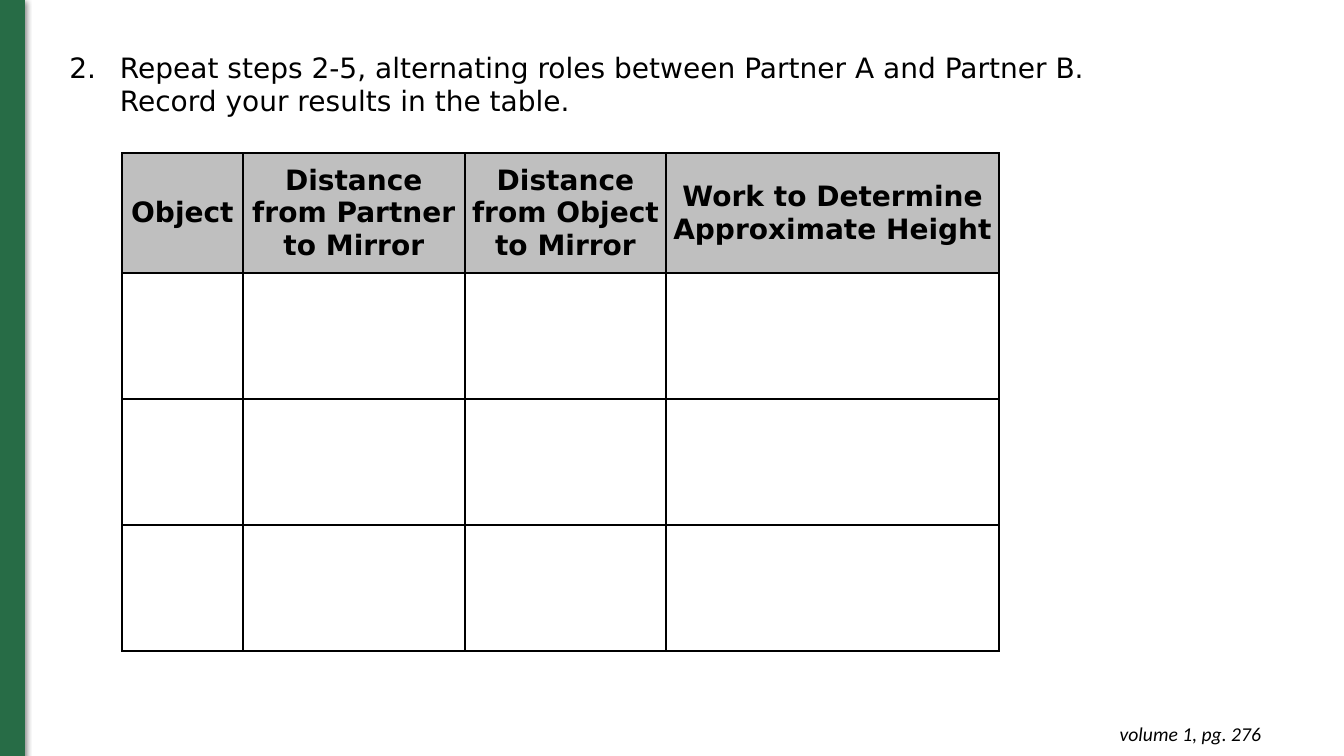
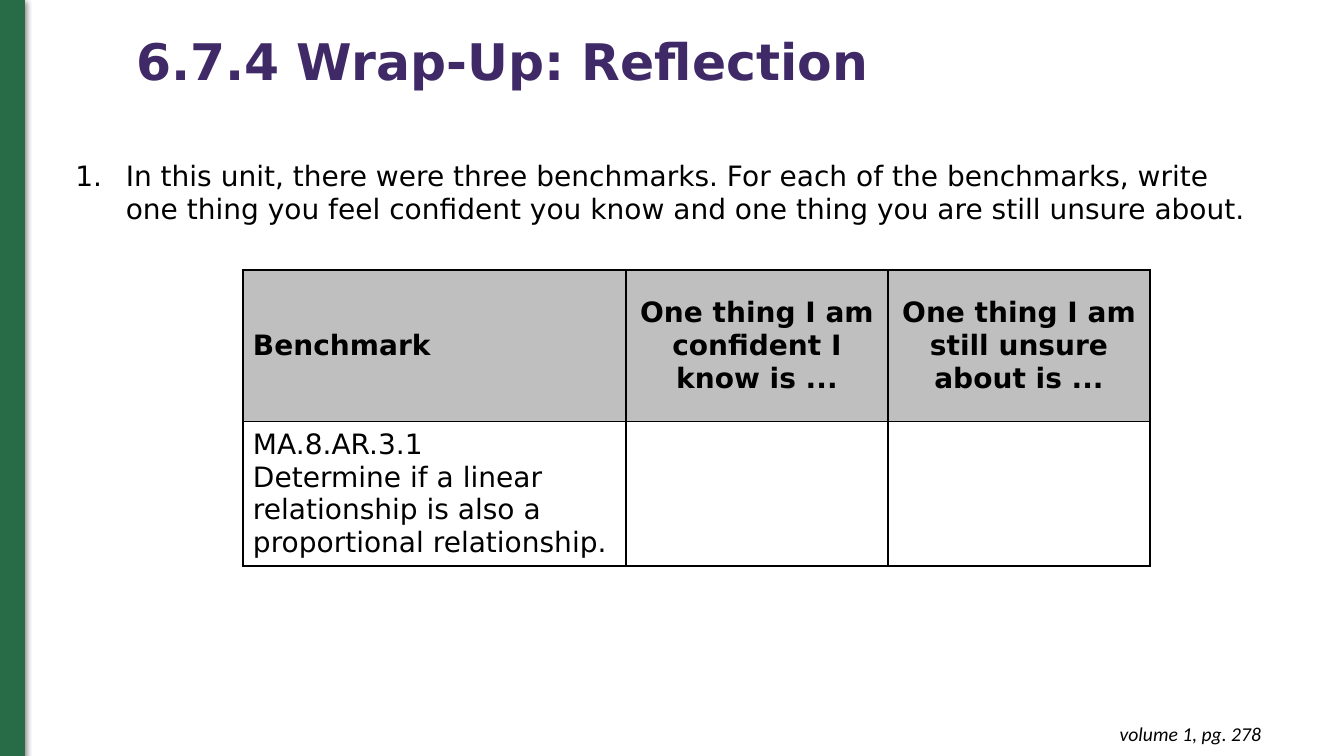
from lxml import etree
from pptx import Presentation
from pptx.dml.color import RGBColor
from pptx.enum import shapes, text
from pptx.oxml import parse_xml
from pptx.oxml.ns import qn
from pptx.util import Pt

A_NS = 'xmlns:a="http://schemas.openxmlformats.org/drawingml/2006/main"'
GREEN, PURPLE, GREY, BLACK = "276C46", "3F2A67", "BFBFBF", "000000"
LEFT, CENTER, RIGHT = text.PP_ALIGN.LEFT, text.PP_ALIGN.CENTER, text.PP_ALIGN.RIGHT
MIDDLE = text.MSO_ANCHOR.MIDDLE


def rgb(value):
    return RGBColor.from_string(value)


class Lesson:
    """Holds the lesson style and the slide being built."""

    font, body_size = "DejaVu Sans", 20

    def __init__(self):
        self.prs = Presentation()
        self.prs.slide_width, self.prs.slide_height = Pt(960), Pt(540)

    def new_slide(self, page, title=None):
        layout = self.prs.slide_layouts[5 if title else 6]
        self.s = self.prs.slides.add_slide(layout)
        self.side_band()
        self.footer(page)
        if title:
            self.title(title)

    def set_text(self, tf, content, size=body_size, color=BLACK, bold=False,
                 italic=False, font=font, align=LEFT):
        tf.text = content
        for p in tf.paragraphs:
            p.alignment = align
            for r in p.runs:
                r.font.name, r.font.size = font, Pt(size)
                r.font.bold, r.font.italic = bold, italic
                r.font.color.rgb = rgb(color)

    def text_box(self, x, y, w, h):
        tf = self.s.shapes.add_textbox(Pt(x), Pt(y), Pt(w), Pt(h)).text_frame
        tf.word_wrap = True
        tf.auto_size = text.MSO_AUTO_SIZE.SHAPE_TO_FIT_TEXT
        return tf

    def side_band(self):
        sp = self.s.shapes.add_shape(shapes.MSO_SHAPE.RECTANGLE, 0, 0, Pt(17.5), Pt(540.5))
        sp.fill.solid()
        sp.fill.fore_color.rgb = sp.line.color.rgb = rgb(GREEN)
        sp.line.width = Pt(0.75)
        sp.shadow.inherit = False
        effects = sp._element.spPr.find(qn("a:effectLst"))
        effects.append(parse_xml(
            f'<a:outerShdw {A_NS} blurRad="{Pt(4.5)}" dist="{Pt(1.5)}" dir="5400000" '
            f'rotWithShape="0"><a:srgbClr val="{BLACK}"><a:alpha val="50000"/>'
            '</a:srgbClr></a:outerShdw>'))

    def footer(self, page):
        tf = self.text_box(700.5, 508.3, 207.5, 31.5)
        tf.margin_top = tf.margin_bottom = Pt(7.2)
        self.set_text(tf, f"volume 1, pg. {page}", size=14, italic=True,
                      font="Calibri", align=RIGHT)

    def title(self, content):
        sp = self.s.shapes.title
        sp.left, sp.top, sp.width, sp.height = Pt(90), Pt(22.3), Pt(840), Pt(46.8)
        tf = sp.text_frame
        tf.vertical_anchor = MIDDLE
        tf.auto_size = text.MSO_AUTO_SIZE.SHAPE_TO_FIT_TEXT
        self.set_text(tf, content, size=36, color=PURPLE, bold=True)
        tf.paragraphs[0].line_spacing = 0.9

    def question(self, x, y, w, number, content):
        tf = self.text_box(x, y, w, 55.4)
        self.set_text(tf, content)
        pPr = tf.paragraphs[0]._p.get_or_add_pPr()
        pPr.set("marL", str(Pt(36)))
        pPr.set("indent", str(-Pt(36)))
        color = etree.SubElement(pPr, qn("a:buClr"))
        etree.SubElement(color, qn("a:srgbClr"), val=BLACK)
        etree.SubElement(pPr, qn("a:buAutoNum"), type="arabicPeriod", startAt=str(number))

    def table(self, x, y, widths, heights, rows, aligns, margin=None):
        frame = self.s.shapes.add_table(len(heights), len(widths), Pt(x), Pt(y),
                                        Pt(sum(widths)), Pt(sum(heights)))
        table = frame.table
        table.first_row = table.horz_banding = False
        for column, width in zip(table.columns, widths):
            column.width = Pt(width)
        for row, height in zip(table.rows, heights):
            row.height = Pt(height)
        for i, contents in enumerate(rows):
            for j, content in enumerate(contents):
                self.cell(table.cell(i, j), content, i == 0, aligns[j], margin)

    def cell(self, cell, content, header, align, margin):
        cell.vertical_anchor = MIDDLE
        if margin is not None:
            cell.margin_left = cell.margin_right = Pt(margin)
            cell.margin_top = cell.margin_bottom = Pt(margin)
        if header:
            cell.fill.solid()
            cell.fill.fore_color.rgb = rgb(GREY)
        else:
            cell.fill.background()
        if content:
            self.set_text(cell.text_frame, content, bold=header, align=align)
        tcPr = cell._tc.get_or_add_tcPr()
        for i, side in enumerate("LRTB"):
            tcPr.insert(i, parse_xml(
                f'<a:ln{side} {A_NS} w="{Pt(1.5)}"><a:solidFill>'
                f'<a:srgbClr val="{BLACK}"/></a:solidFill></a:ln{side}>'))


def main():
    lesson = Lesson()

    lesson.new_slide(276)
    lesson.question(42.5, 32.4, 865.5, 2,
                    "Repeat steps 2-5, alternating roles between Partner A and Partner B.\v"
                    "Record your results in the table.")
    headings = ["Object", "Distance from Partner to Mirror",
                "Distance from Object to Mirror", "Work to Determine Approximate Height"]
    lesson.table(87.1, 109.4, [86.4, 158.4, 144, 237.6], [85.7] + [90] * 3,
                 [headings] + [[""] * 4] * 3, [CENTER] * 4, margin=3.6)

    lesson.new_slide(278, "6.7.4 Wrap-Up: Reflection")
    lesson.question(46.8, 109.4, 861, 1,
                    "In this unit, there were three benchmarks. For each of the benchmarks, "
                    "write one thing you feel confident you know and one thing you are "
                    "still unsure about.")
    benchmark = ("MA.8.AR.3.1\nDetermine if a linear relationship is also "
                 "a proportional relationship.")
    lesson.table(173.5, 193, [273.6, 187.2, 187.2], [108, 103],
                 [["Benchmark", "One thing I am confident I know is ...",
                   "One thing I am still unsure about is ..."],
                  [benchmark, "", ""]],
                 [LEFT, CENTER, CENTER])

    lesson.prs.save("out.pptx")


if __name__ == "__main__":
    main()
